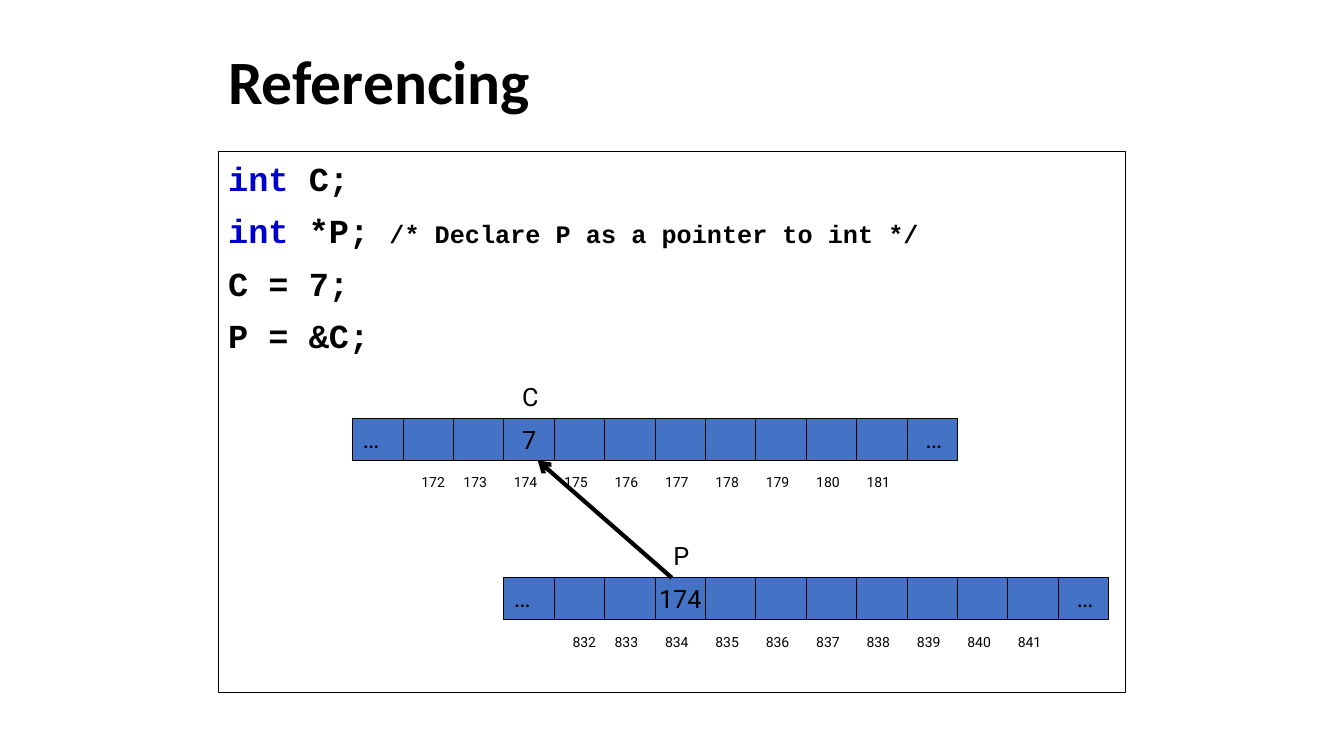
"""Build the Referencing slide: C code above two memory strips linked by a pointer."""
import pptx
import pptx.util
import pptx.dml.color
import pptx.enum.shapes
import pptx.enum.text
import lxml.etree

Cm, Pt = pptx.util.Cm, pptx.util.Pt
RGB = pptx.dml.color.RGBColor.from_string
MSO = pptx.enum.shapes
TXT = pptx.enum.text

TITLE = "Referencing"
CODE = [
    [("int", "keyword", "code"), (" C;", "ink", "code")],
    [("int", "keyword", "code"), (" *P; ", "ink", "code"),
     ("/* Declare P as a pointer to int */", "ink", "comment")],
    [("C = 7;", "ink", "code")],
    [("P = &C;", "ink", "code")],
]
STRIPS = [
    {"name": "C", "value": "7", "first": 172, "x": 8.89, "y": 10.54},
    {"name": "P", "value": "174", "first": 832, "x": 12.7, "y": 14.56},
]
CELLS, VALUE_CELL = 12, 3
CELL_W, CELL_H = 1.27, 1.06
NUDGE = 0.21
THEME = {
    "ink": "000000", "keyword": "0000CC", "cell": "4472C4", "paper": "FFFFFF",
    "title_font": "Calibri", "code_font": "Courier New", "label_font": "Roboto",
    "title": 44, "code": 24, "comment": 18, "label": 18, "address": 10,
}


def style(r, font, size, color="ink", bold=False):
    r.font.name, r.font.size, r.font.bold = THEME[font], Pt(THEME[size]), bold
    r.font.color.rgb = RGB(THEME[color])


def add_text(s, text, x, y, w, h, size, font="label_font", bold=False):
    tf = s.shapes.add_textbox(Cm(x), Cm(y), Cm(w), Cm(h)).text_frame
    tf.word_wrap = True
    tf.text = text
    style(tf.paragraphs[0].runs[0], font, size, bold=bold)
    return tf


def add_box(s, x, y, w, h, fill):
    sp = s.shapes.add_shape(MSO.MSO_SHAPE.RECTANGLE, Cm(x), Cm(y), Cm(w), Cm(h))
    sp.shadow.inherit = False
    sp.fill.solid()
    sp.fill.fore_color.rgb = RGB(THEME[fill])
    sp.line.color.rgb = RGB(THEME["ink"])
    sp.line.width = Pt(0.75)
    return sp


def add_code(s):
    tf = add_box(s, 5.5, 3.81, 22.86, 13.65, "paper").text_frame
    tf.word_wrap = True
    tf.vertical_anchor = TXT.MSO_ANCHOR.TOP
    tf.margin_top = Cm(0.28)
    for i, line in enumerate(CODE):
        p = tf.paragraphs[0] if i == 0 else tf.add_paragraph()
        p.alignment = TXT.PP_ALIGN.LEFT
        p.line_spacing = 0.9
        p.space_before = Pt(11.5 if i else 0)
        for text, color, size in line:
            r = p.add_run()
            r.text = text
            style(r, "code_font", size, color, bold=True)


def add_strip(s, name, value, first, x, y):
    lefts = [x + i * CELL_W for i in range(CELLS)]
    for i, left in enumerate(lefts):
        sp = add_box(s, left, y, CELL_W, CELL_H, "cell")
        if i == VALUE_CELL:
            tf = sp.text_frame
            tf.word_wrap = False
            tf.text = value
            tf.paragraphs[0].alignment = TXT.PP_ALIGN.CENTER
            style(tf.paragraphs[0].runs[0], "label_font", "label")
    for text, left, top in [
        (name, lefts[VALUE_CELL] + NUDGE, y - CELL_H),
        ("…", lefts[0], y),
        ("…", lefts[-1] + NUDGE, y),
    ]:
        add_text(s, text, left, top, 0.85, 1.02, "label")
    for i, left in enumerate(lefts[1:-1]):
        shift = NUDGE if i == 0 else 0
        add_text(s, str(first + i), left + shift, y + 1.27, CELL_W, 0.68, "address")


def add_pointer(s, x1, y1, x2, y2):
    line = s.shapes.add_connector(MSO.MSO_CONNECTOR.STRAIGHT, Cm(x1), Cm(y1), Cm(x2), Cm(y2))
    line.line.color.rgb = RGB(THEME["ink"])
    line.line.width = Pt(3)
    ns = "{http://schemas.openxmlformats.org/drawingml/2006/main}"
    sp_pr = line.element.spPr
    lxml.etree.SubElement(sp_pr.find(ns + "ln"), ns + "tailEnd", type="arrow")
    lxml.etree.SubElement(sp_pr, ns + "effectLst")


def main():
    prs = pptx.Presentation()
    prs.slide_width, prs.slide_height = Cm(33.87), Cm(19.05)
    s = prs.slides.add_slide(prs.slide_layouts[6])
    tf = add_text(s, TITLE, 5.5, 0.85, 23.5, 2.54, "title", "title_font", bold=True)
    tf.vertical_anchor = TXT.MSO_ANCHOR.MIDDLE
    tf.paragraphs[0].line_spacing = 0.9
    add_code(s)
    for strip in STRIPS:
        add_strip(s, **strip)
    target, pointer = STRIPS
    add_pointer(s, pointer["x"] + VALUE_CELL * CELL_W + 2 * NUDGE, pointer["y"],
                target["x"] + (VALUE_CELL + 1) * CELL_W - 2 * NUDGE, target["y"] + CELL_H)
    prs.save("out.pptx")


if __name__ == "__main__":
    main()
